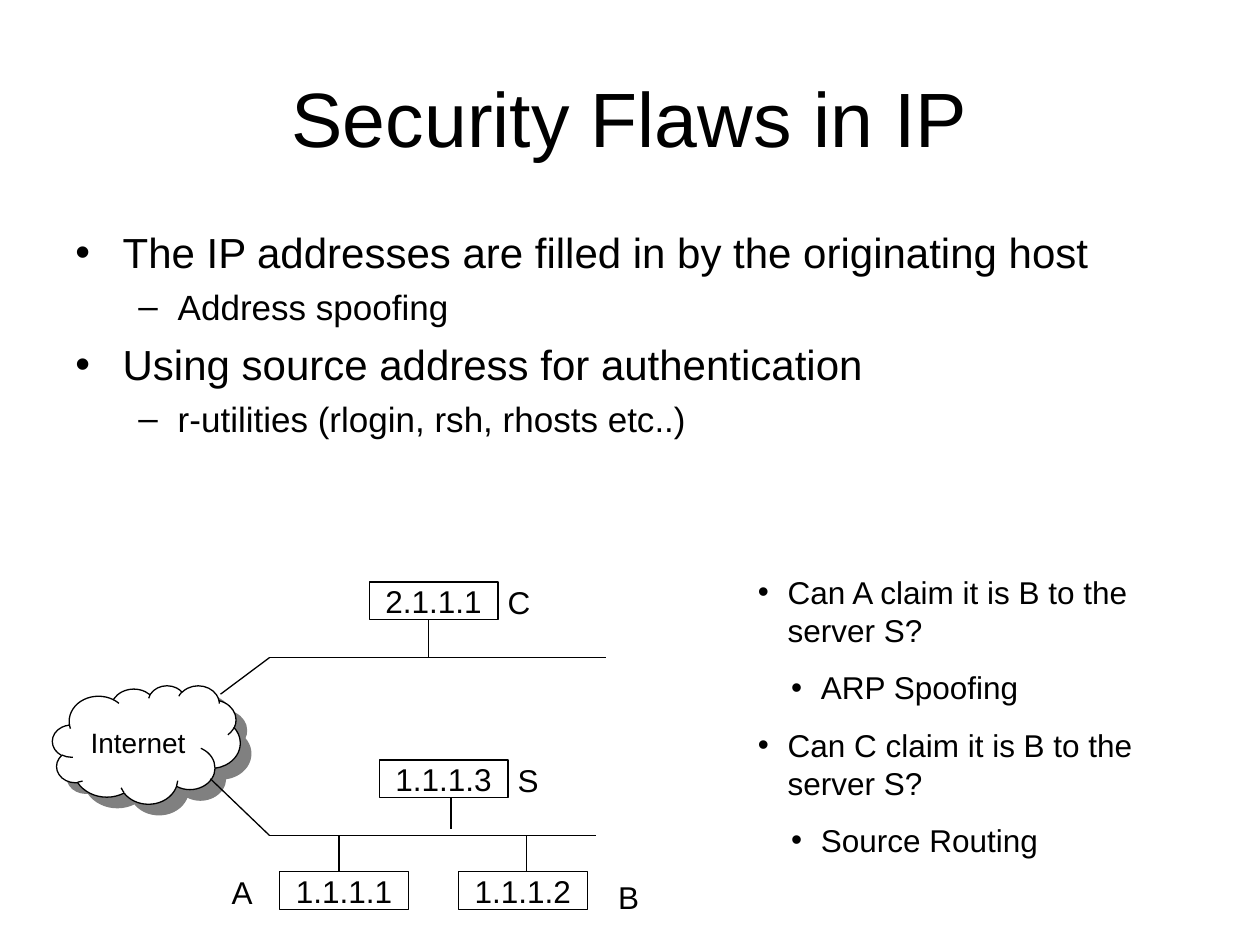
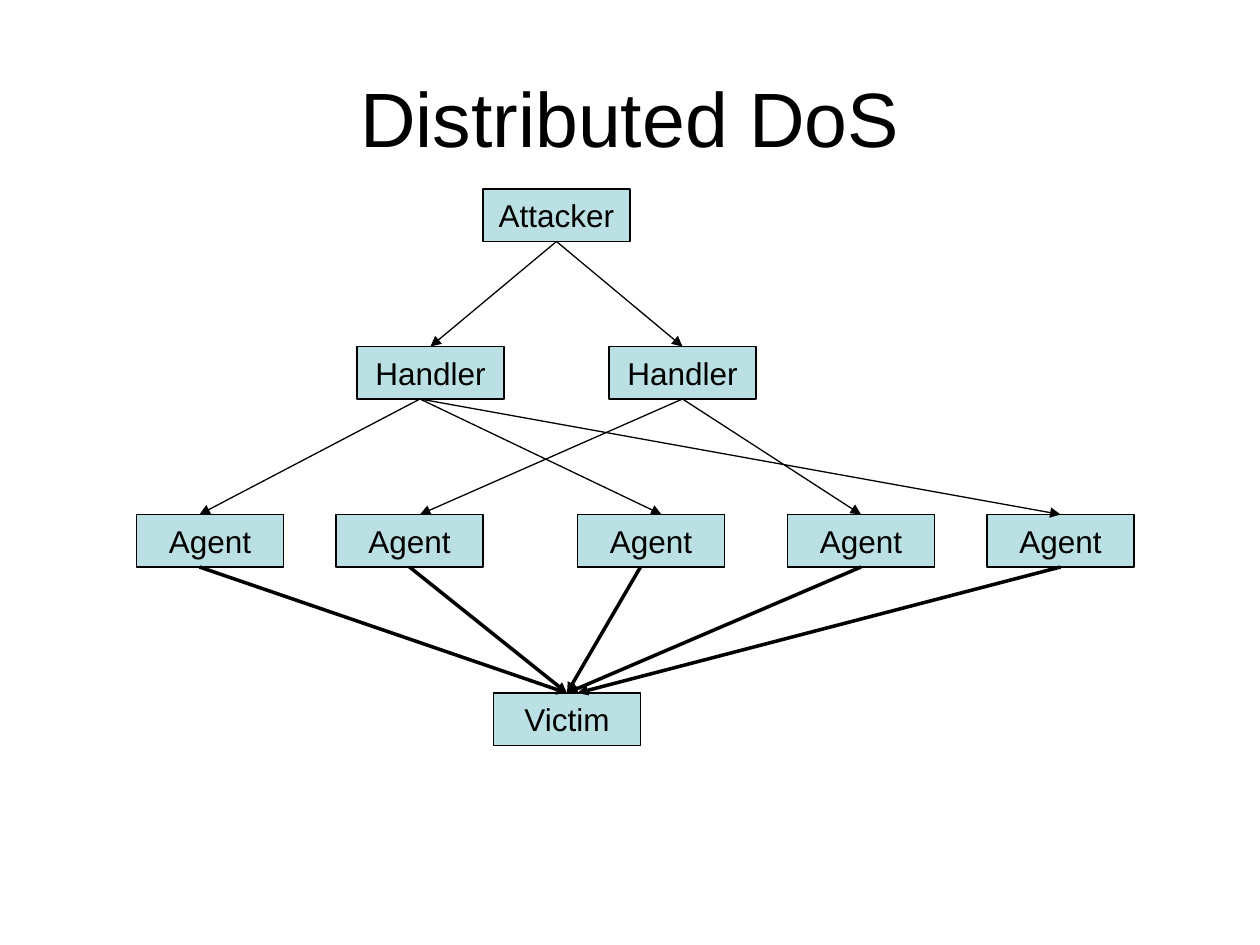
from lxml.etree import SubElement
from pptx import Presentation
from pptx.dml.color import RGBColor
from pptx.enum.shapes import MSO_CONNECTOR, MSO_SHAPE
from pptx.enum.text import MSO_ANCHOR, PP_ALIGN
from pptx.oxml.ns import qn
from pptx.util import Pt

FONT = "Arial"
BLACK, WHITE, TEAL, GREY = "000000", "FFFFFF", "BBE0E3", "808080"
LINE = 0.75
TITLE_BOX = (36, 21.6, 648, 90)


def rgb(value):
    return RGBColor.from_string(value)


# Shared helpers
def write(paragraph, text, size, align=PP_ALIGN.LEFT):
    paragraph.alignment = align
    run = paragraph.add_run()
    run.text = text
    run.font.size = Pt(size)
    run.font.name = FONT
    run.font.color.rgb = rgb(BLACK)


def text_box(slide, left, top, width, height, wrap=True):
    frame = slide.shapes.add_textbox(Pt(left), Pt(top), Pt(width), Pt(height)).text_frame
    frame.word_wrap = wrap
    return frame


def outlined(slide, kind, left, top, width, height, fill, text, size,
             align=PP_ALIGN.CENTER, wrap=False):
    shape = slide.shapes.add_shape(kind, Pt(left), Pt(top), Pt(width), Pt(height))
    shape.shadow.inherit = False
    shape.fill.solid()
    shape.fill.fore_color.rgb = rgb(fill)
    shape.line.color.rgb = rgb(BLACK)
    shape.line.width = Pt(LINE)
    frame = shape.text_frame
    frame.word_wrap = wrap
    frame.vertical_anchor = MSO_ANCHOR.MIDDLE
    write(frame.paragraphs[0], text, size, align)
    return shape


def line(slide, x1, y1, x2, y2, weight=LINE, arrow=False):
    link = slide.shapes.add_connector(MSO_CONNECTOR.STRAIGHT, Pt(x1), Pt(y1), Pt(x2), Pt(y2))
    link.line.color.rgb = rgb(BLACK)
    link.line.width = Pt(weight)
    properties = link._element.spPr
    if arrow:
        SubElement(properties.find(qn("a:ln")), qn("a:tailEnd"), type="triangle")
    SubElement(properties, qn("a:effectLst"))


def title(slide, text):
    frame = text_box(slide, *TITLE_BOX)
    frame.vertical_anchor = MSO_ANCHOR.MIDDLE
    write(frame.paragraphs[0], text, 44, PP_ALIGN.CENTER)


def bullet_list(slide, box, items, levels):
    """Each level is (size, space before, left margin, hanging indent, bullet)."""
    frame = text_box(slide, *box)
    for index, (level, text) in enumerate(items):
        size, before, margin, hanging, bullet = levels[level]
        paragraph = frame.add_paragraph() if index else frame.paragraphs[0]
        paragraph.level = level
        paragraph.space_before = Pt(before)
        properties = paragraph._p.get_or_add_pPr()
        properties.set("marL", str(Pt(margin)))
        properties.set("indent", str(-Pt(hanging)))
        SubElement(properties, qn("a:buFont"), typeface=FONT)
        SubElement(properties, qn("a:buChar"), char=bullet)
        write(paragraph, text, size)


# Network diagram
def internet_cloud(slide, left, top):
    cloud = outlined(slide, MSO_SHAPE.CLOUD, left, top, 107.28, 67.68, WHITE,
                     "Internet", 16, PP_ALIGN.LEFT, wrap=True)
    effects = cloud._element.spPr.find(qn("a:effectLst"))
    shadow = SubElement(effects, qn("a:outerShdw"), dist=str(Pt(8.5)), dir="2700000",
                        algn="ctr", rotWithShape="0")
    SubElement(shadow, qn("a:srgbClr"), val=GREY)


def network(slide, left, top):
    bus_start, upper_bus, lower_bus = left + 124, top + 45.8, top + 147.4
    line(slide, bus_start, upper_bus, left + 316.3, upper_bus)
    line(slide, bus_start, lower_bus, left + 310.5, lower_bus)
    internet_cloud(slide, left, top + 61.7)
    line(slide, bus_start, upper_bus, left + 96, top + 66.7)
    line(slide, left + 90.2, top + 115, bus_start, lower_bus)

    # Host: address, name, x, y, name offset, drop line (x, from, to)
    hosts = [
        ("2.1.1.1", "C", 181, 2.6, (72, -2.9), (214.8, 24.2, 45.8)),
        ("1.1.1.1", "A", 129.8, 168.2, (-34.6, -2.9), (163.7, 147.4, 168.2)),
        ("1.1.1.2", "B", 232, 168.2, (84.2, 0), (271, 147.4, 168.2)),
        ("1.1.1.3", "S", 186.7, 104.2, (72, -2.9), (227.8, 125.8, 143.8)),
    ]
    for address, name, x, y, (name_dx, name_dy), (drop, start, end) in hosts:
        outlined(slide, MSO_SHAPE.RECTANGLE, left + x, top + y, 73.6, 21.4, WHITE, address, 18)
        label = text_box(slide, left + x + name_dx, top + y + name_dy, 26.4, 28.8, wrap=False)
        write(label.paragraphs[0], name, 18)
        line(slide, left + drop, top + start, left + drop, top + end)


def ip_flaws_slide(slide):
    title(slide, "Security Flaws in IP")
    bullet_list(slide, (36, 126, 648, 356.4), [
        (0, "The IP addresses are filled in by the originating host"),
        (1, "Address spoofing"),
        (0, "Using source address for authentication"),
        (1, "r-utilities (rlogin, rsh, rhosts etc..)"),
    ], [(24, 6, 27, 27, "•"), (20, 5, 58.5, 22.5, "–")])
    network(slide, 30, 330)
    bullet_list(slide, (426, 324, 264, 170.6), [
        (0, "Can A claim it is B to the server S?"),
        (1, "ARP Spoofing"),
        (0, "Can C claim it is B to the server S?"),
        (1, "Source Routing"),
    ], [(18, 11.2, 17, 17, "•"), (18, 11.2, 36, 17, "•")])


# Attack tree
def attack_tree(slide, left, top):
    node_width, node_height = 84, 30
    attacker_y, handler_y, agent_y, victim_y = 0, 90, 186, 288
    tiers = [
        ("Attacker", attacker_y, [198]),
        ("Handler", handler_y, [126, 270]),
        ("Agent", agent_y, [0, 114, 252, 372, 486]),
        ("Victim", victim_y, [204]),
    ]
    for name, y, columns in tiers:
        for x in columns:
            outlined(slide, MSO_SHAPE.RECTANGLE, left + x, top + y,
                     node_width, node_height, TEAL, name, 18)

    # Arrows between tiers: upper y, lower y, weight, (start x, end x) pairs
    commands = [
        (attacker_y, handler_y, LINE, [(240, 168), (240, 312)]),
        (handler_y, agent_y, LINE,
         [(162, 36), (162, 300), (162, 528), (312, 162), (312, 414)]),
        (agent_y, victim_y, 2,
         [(36, 246), (156, 246), (288, 246), (414, 246), (528, 252)]),
    ]
    for upper, lower, weight, pairs in commands:
        for start, end in pairs:
            line(slide, left + start, top + upper + node_height,
                 left + end, top + lower, weight, arrow=True)


def ddos_slide(slide):
    title(slide, "Distributed DoS")
    attack_tree(slide, 78, 108)


def main():
    deck = Presentation()
    deck.slide_width, deck.slide_height = Pt(720), Pt(540)
    for build in (ip_flaws_slide, ddos_slide):
        build(deck.slides.add_slide(deck.slide_layouts[6]))
    deck.save("out.pptx")


if __name__ == "__main__":
    main()
